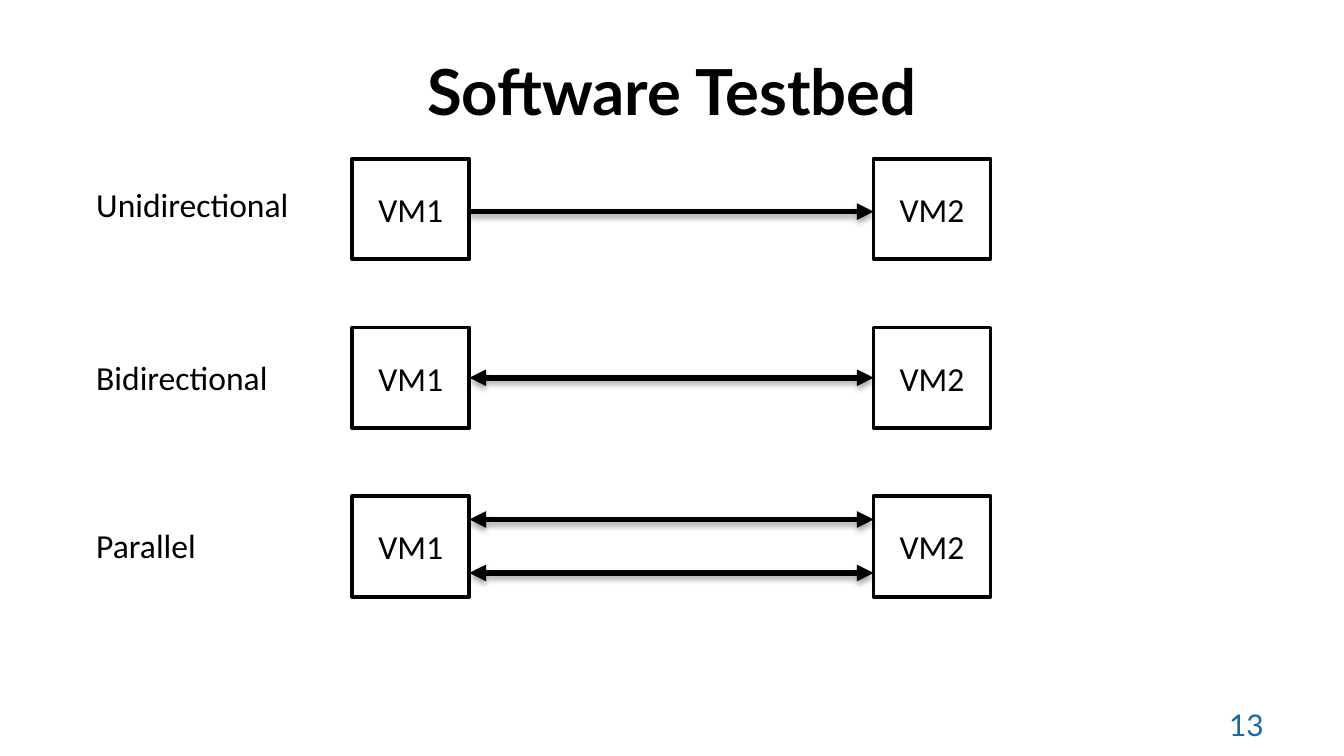
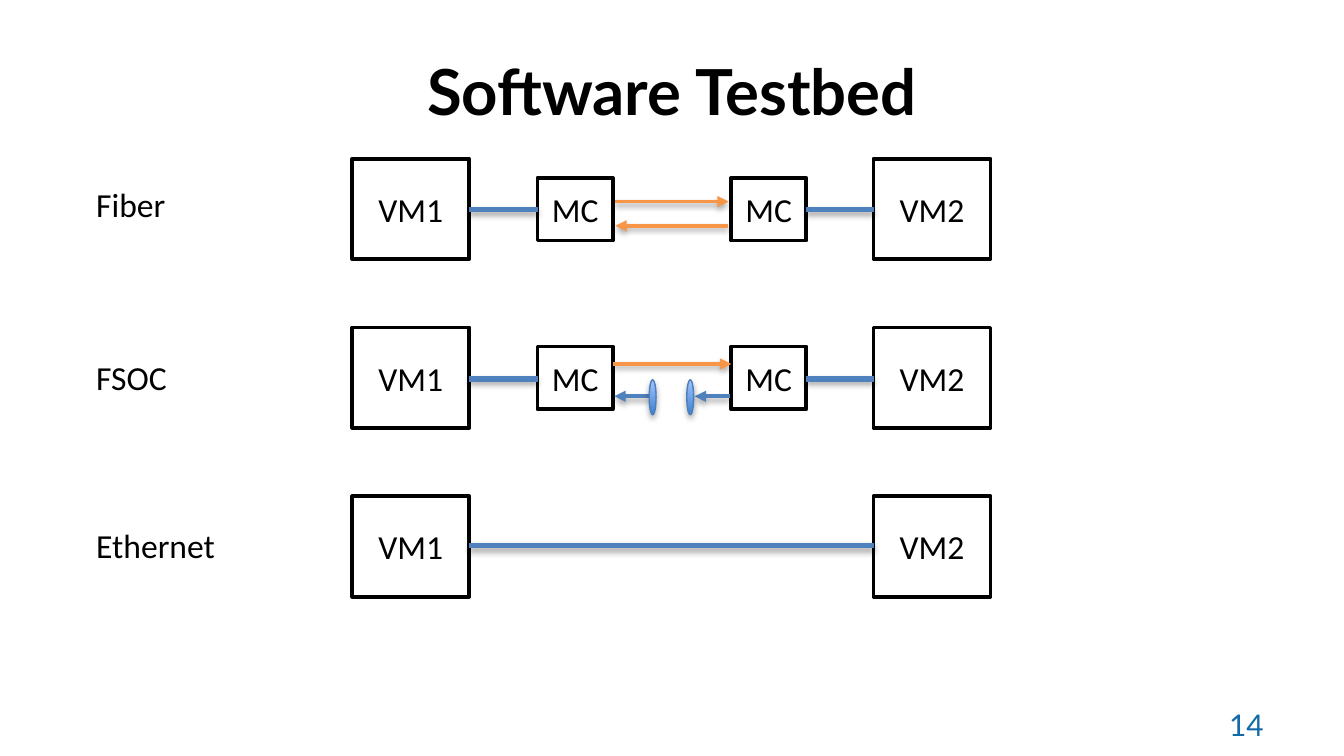
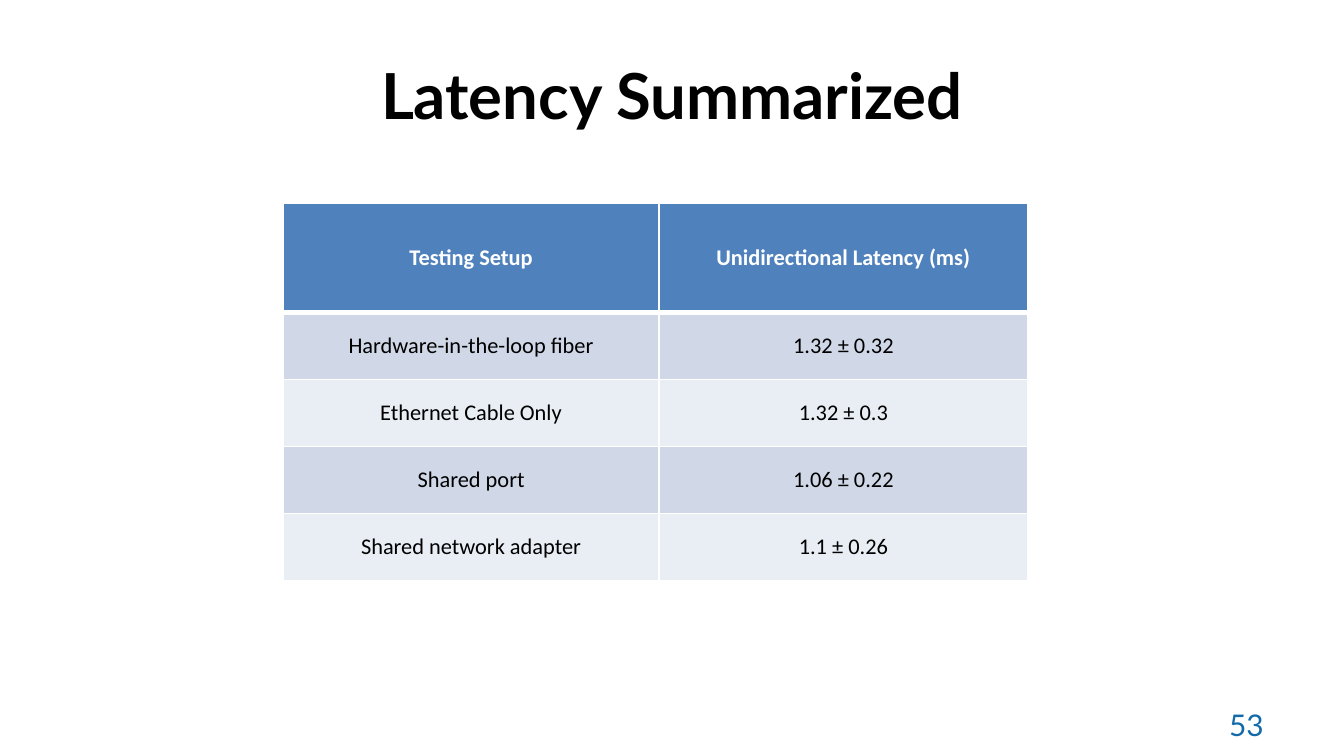
from dataclasses import dataclass

from pptx import Presentation
from pptx.dml.color import RGBColor
from pptx.enum.shapes import MSO_CONNECTOR, MSO_SHAPE
from pptx.enum.text import MSO_ANCHOR, PP_ALIGN
from pptx.oxml import parse_xml
from pptx.oxml.ns import nsdecls, qn
from pptx.util import Cm, Pt


@dataclass(frozen=True)
class Theme:
    black: str = "000000"
    white: str = "FFFFFF"
    blue: str = "4F81BD"
    orange: str = "F79646"
    number: str = "136AA9"
    lens_dark: str = "3F80CE"
    lens_light: str = "A4C4FF"
    lens_edge: str = "4B7EBC"
    band_dark: str = "D0D8E8"
    band_light: str = "E9EDF4"
    heading_font: str = "Lato"
    body_font: str = "Calibri"
    title_size: int = 34
    number_size: int = 16
    body_size: int = 18
    table_size: int = 12


theme = Theme()
SHADOW = (
    f'<a:effectLst {nsdecls("a")}><a:outerShdw blurRad="40000" dist="23000" dir="5400000" '
    'rotWithShape="0"><a:srgbClr val="000000"><a:alpha val="35000"/></a:srgbClr>'
    "</a:outerShdw></a:effectLst>"
)


def write(frame, text, size, font=theme.body_font, color=theme.black,
          align=PP_ALIGN.CENTER, anchor=MSO_ANCHOR.MIDDLE, bold=False):
    frame.text = text
    frame.word_wrap = True
    frame.vertical_anchor = anchor
    paragraph = frame.paragraphs[0]
    paragraph.alignment = align
    run_font = paragraph.runs[0].font
    run_font.name, run_font.size, run_font.bold = font, Pt(size), bold
    run_font.color.rgb = RGBColor.from_string(color)


def link(slide, start, end, y, color, width, arrows=()):
    connector = slide.shapes.add_connector(
        MSO_CONNECTOR.STRAIGHT, Cm(start), Cm(y), Cm(end), Cm(y))
    connector.line.color.rgb = RGBColor.from_string(color)
    connector.line.width = Pt(width)
    properties = connector.element.spPr
    for arrow in arrows:
        properties.find(qn("a:ln")).append(
            parse_xml(f'<a:{arrow} {nsdecls("a")} type="triangle"/>'))
    properties.append(parse_xml(SHADOW))


deck = Presentation()
deck.slide_width, deck.slide_height = Cm(25.4), Cm(14.29)

slides = []
for title, title_top, number in (
    ("Software Testbed", 0.51, "13"),
    ("Software Testbed", 0.51, "14"),
    ("Latency Summarized", 0.58, "53"),
):
    slide = deck.slides.add_slide(deck.slide_layouts[6])
    heading = slide.shapes.add_textbox(Cm(1.27), Cm(title_top), Cm(22.86), Cm(2.39))
    write(heading.text_frame, title, theme.title_size, theme.heading_font, bold=True)
    footer = slide.shapes.add_textbox(Cm(18.21), Cm(13.23), Cm(5.92), Cm(0.76))
    write(footer.text_frame, number, theme.number_size, theme.heading_font, theme.number,
          PP_ALIGN.RIGHT, MSO_ANCHOR.TOP)
    slides.append(slide)
directions, media, latency = slides

row_tops = [3 + 3.19 * row for row in range(3)]
vm_width, vm_height, vm1_left, vm2_left = 2.21, 1.9, 6.66, 16.51
mc_width, mc_height, mc1_left, mc2_left = 1.42, 1.19, 10.16, 13.82
vm1_right, mc1_right, mc2_right = vm1_left + vm_width, mc1_left + mc_width, mc2_left + mc_width

vms = [(name, left, top, vm_width, vm_height)
       for top in row_tops for name, left in (("VM1", vm1_left), ("VM2", vm2_left))]
converters = [("MC", left, top + 0.36, mc_width, mc_height)
              for top in row_tops[:2] for left in (mc1_left, mc2_left)]

for slide, setups, nodes in (
    (directions, ("Unidirectional", "Bidirectional", "Parallel"), vms),
    (media, ("Fiber", "FSOC", "Ethernet"), vms + converters),
):
    for name, left, top, width, height in nodes:
        node = slide.shapes.add_shape(
            MSO_SHAPE.RECTANGLE, Cm(left), Cm(top), Cm(width), Cm(height))
        node.shadow.inherit = False
        node.fill.solid()
        node.fill.fore_color.rgb = RGBColor.from_string(theme.white)
        node.line.color.rgb = RGBColor.from_string(theme.black)
        node.line.width = Pt(2)
        write(node.text_frame, name, theme.body_size)
        if name == "MC":
            node.text_frame.margin_left = node.text_frame.margin_right = 0
    for setup, top in zip(setups, (3.35, 6.63, 9.8)):
        label = slide.shapes.add_textbox(Cm(1.57), Cm(top), Cm(7.62), Cm(1.02))
        write(label.text_frame, setup, theme.body_size,
              align=PP_ALIGN.LEFT, anchor=MSO_ANCHOR.TOP)

one_way, both_ways = ("tailEnd",), ("headEnd", "tailEnd")
for y, arrows in ((4, one_way), (7.14, both_ways), (9.82, both_ways), (10.83, both_ways)):
    link(directions, vm1_right, vm2_left, y, theme.black, 3, arrows)

for start, end, y in (
    (vm1_right, mc1_left, 3.96),
    (mc2_right, vm2_left, 3.96),
    (vm1_right, mc1_left, 7.16),
    (mc2_right, vm2_left, 7.16),
    (vm1_right, vm2_left, 10.31),
):
    link(media, start, end, y, theme.blue, 3)

for start, end, y, color in (
    (11.63, 13.77, 3.81, theme.orange),
    (13.75, 11.63, 4.27, theme.orange),
    (mc1_right, mc2_left, 6.88, theme.orange),
    (13.79, 13.13, 7.49, theme.blue),
    (12.27, 11.61, 7.49, theme.blue),
):
    link(media, start, end, y, color, 2, one_way)

for left in (12.27, 12.98):
    lens = media.shapes.add_shape(MSO_SHAPE.OVAL, Cm(left), Cm(7.18), Cm(0.13), Cm(0.66))
    lens.fill.gradient()
    lens.fill.gradient_angle = 90
    for stop, color in zip(lens.fill.gradient_stops, (theme.lens_dark, theme.lens_light)):
        stop.color.rgb = RGBColor.from_string(color)
    lens.line.color.rgb = RGBColor.from_string(theme.lens_edge)
    lens.line.width = Pt(0.75)
    lens.element.spPr.append(parse_xml(SHADOW))

results = (
    ("Testing Setup", "Unidirectional Latency (ms)"),
    ("Hardware-in-the-loop fiber", "1.32 ± 0.32"),
    ("Ethernet Cable Only", "1.32 ± 0.3"),
    ("Shared port", "1.06 ± 0.22"),
    ("Shared network adapter", "1.1 ± 0.26"),
)
summary = latency.shapes.add_table(
    len(results), 2, Cm(5.36), Cm(3.84), Cm(14.07), Cm(7.14)).table
summary.columns[0].width, summary.columns[1].width = Cm(7.09), Cm(6.98)
for row, values in enumerate(results):
    header = row == 0
    summary.rows[row].height = Cm(2.06 if header else 1.27)
    band = theme.blue if header else theme.band_dark if row % 2 else theme.band_light
    for column, value in enumerate(values):
        cell = summary.cell(row, column)
        write(cell.text_frame, value, theme.table_size,
              color=theme.white if header else theme.black, bold=header)
        cell.vertical_anchor = MSO_ANCHOR.MIDDLE
        properties = cell._tc.get_or_add_tcPr()
        for side in ("lnL", "lnR", "lnT", "lnB"):
            thick = (header and side == "lnB") or (row == 1 and side == "lnT")
            properties.append(parse_xml(
                f'<a:{side} {nsdecls("a")} w="{Pt(3 if thick else 1)}"><a:solidFill>'
                f'<a:srgbClr val="{theme.white}"/></a:solidFill></a:{side}>'))
        cell.fill.solid()
        cell.fill.fore_color.rgb = RGBColor.from_string(band)

deck.save("out.pptx")
